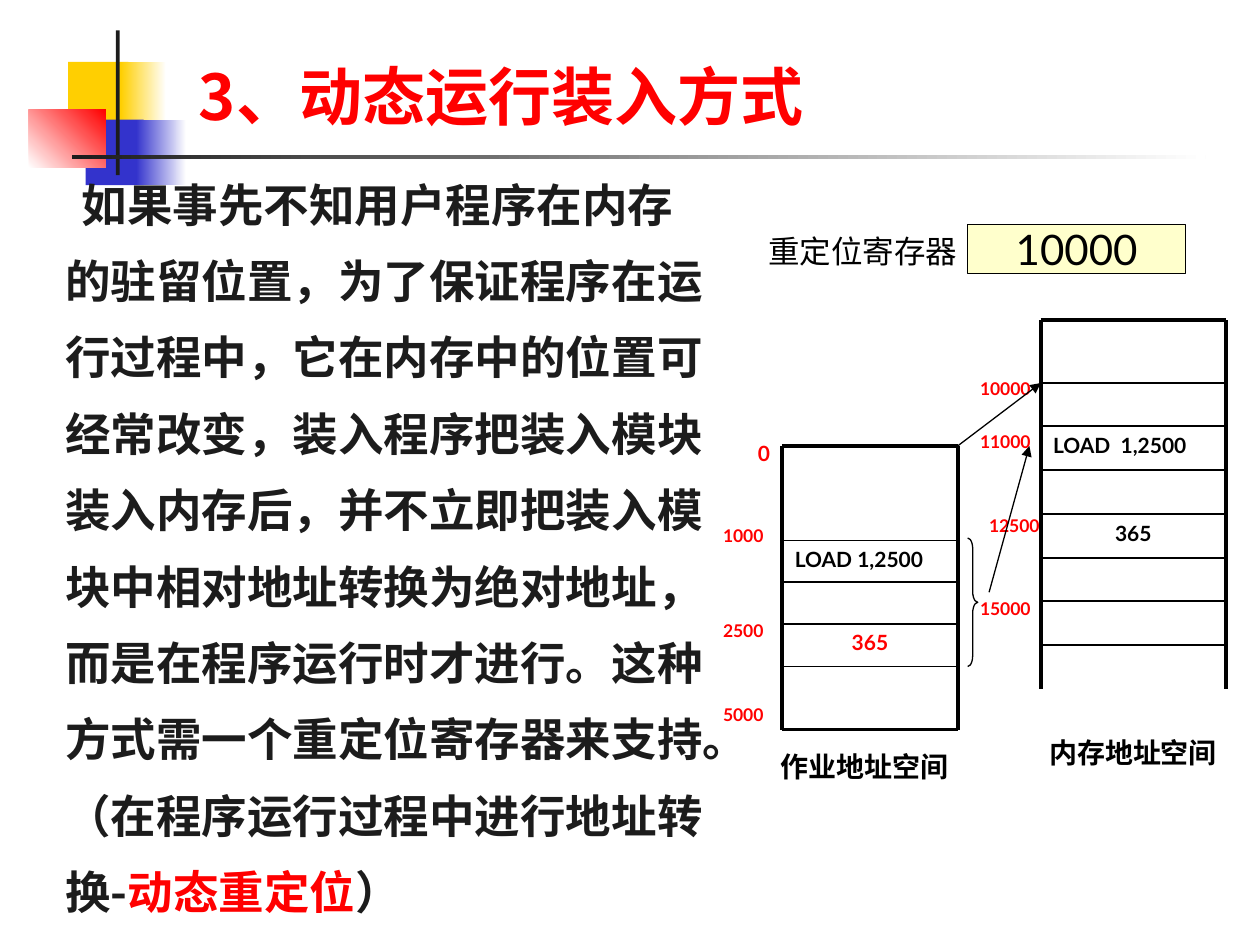
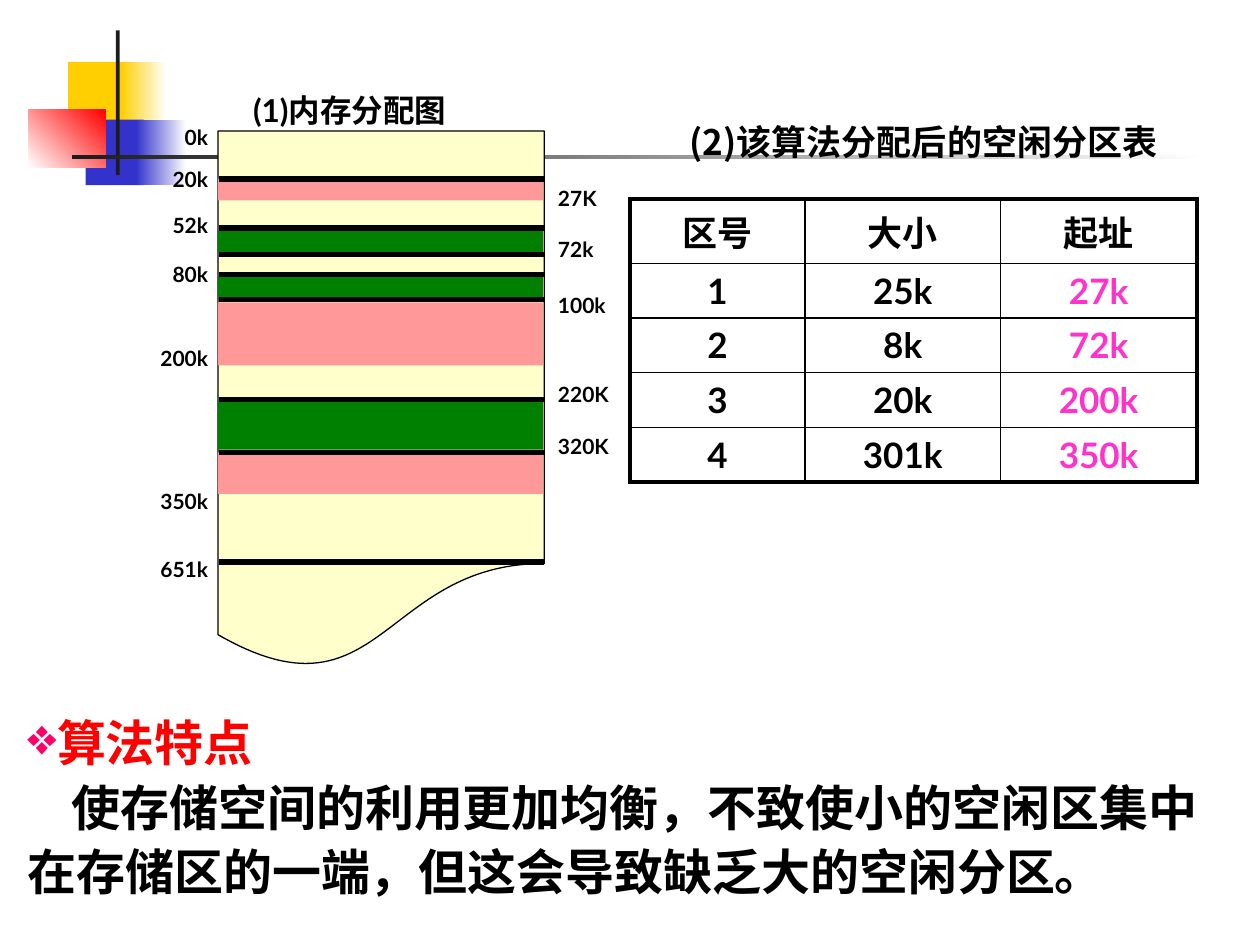
from dataclasses import dataclass

from lxml import etree
from pptx import Presentation
from pptx import util as u
from pptx.dml.color import RGBColor
from pptx.enum import shapes as s
from pptx.enum import text as t
from pptx.oxml import ns

PX = 9144  # EMU per px, 100 px to the inch
RECT = s.MSO_SHAPE.RECTANGLE


@dataclass(frozen=True)
class Theme:
    latin: str = "Lato"
    chinese: str = "Noto Sans CJK SC"
    black: str = "000000"
    ink: str = "1C1C1C"
    white: str = "FFFFFF"
    red: str = "FF0000"
    yellow: str = "FFCF01"
    blue: str = "3333CC"
    cream: str = "FFFFCC"
    free: str = "FF9999"
    allocated: str = "008000"
    address: str = "FF33CC"
    bullet: str = "FF0066"
    title: int = 36
    feature: int = 28
    body: int = 26
    register: int = 24
    table: int = 20
    heading: int = 18
    caption: int = 16
    label: int = 12
    small: int = 10
    thin: float = 0.75
    rule: float = 1
    frame: float = 2.25
    heavy: float = 3


T = Theme()
ALIGN = {"l": t.PP_ALIGN.LEFT, "c": t.PP_ALIGN.CENTER, "r": t.PP_ALIGN.RIGHT}


def emu(*lengths):
    return [u.Emu(round(length * PX)) for length in lengths]


def add_xml(parent, tag, **attributes):
    return etree.SubElement(parent, ns.qn(tag), **attributes)


def style_run(run, size, color=T.black, bold=True, latin=T.latin):
    run.font.size = u.Pt(size)
    run.font.bold = bold
    run.font.name = latin
    run.font.color.rgb = RGBColor.from_string(color)
    add_xml(run._r.get_or_add_rPr(), "a:ea", typeface=T.chinese)


def write(paragraph, content, size, color=T.black, align="l", **font):
    paragraph.text = content
    paragraph.alignment = ALIGN[align]
    style_run(paragraph.runs[0], size, color, **font)


def add_box(slide, x, y, w, h):
    frame = slide.shapes.add_textbox(*emu(x, y, w, h)).text_frame
    frame.word_wrap = True
    return frame


def add_label(slide, box, content, size, color=T.black, align="l", **font):
    frame = add_box(slide, *box)
    write(frame.paragraphs[0], content, size, color, align, **font)
    return frame


def indent(paragraph, margin, first):
    properties = paragraph._p.get_or_add_pPr()
    properties.set("marL", str(margin * PX))
    properties.set("indent", str(first * PX))


def add_block(slide, kind, box, fill=None, line=None, end=None, angle=0):
    """Preset shape; an end colour turns the fill into a gradient."""
    block = slide.shapes.add_shape(kind, *emu(*box))
    block.shadow.inherit = False
    if end:
        block.fill.gradient()
        block.fill.gradient_angle = angle
        for stop, color in zip(block.fill.gradient_stops, (fill, end)):
            stop.color.rgb = RGBColor.from_string(color)
    elif fill:
        block.fill.solid()
        block.fill.fore_color.rgb = RGBColor.from_string(fill)
    else:
        block.fill.background()
    if line:
        block.line.color.rgb = RGBColor.from_string(T.black)
        block.line.width = u.Pt(line)
    else:
        block.line.fill.background()
    return block


def add_line(slide, x1, y1, x2, y2, width, arrow=False):
    line = slide.shapes.add_connector(
        s.MSO_CONNECTOR.STRAIGHT, *emu(x1, y1, x2, y2))
    line.line.color.rgb = RGBColor.from_string(T.black)
    line.line.width = u.Pt(width)
    if arrow:
        add_xml(line.line._get_or_add_ln(), "a:tailEnd", type="triangle")
    add_xml(line._element.spPr, "a:effectLst")


def add_ornament(slide, x, y):
    """Overlapping squares and crossed rules behind every slide."""
    for dx, dy, w, h, fill, end, angle in (
        (31, 25, 48, 52, T.yellow, None, 0),
        (73, 25, 36, 52, T.yellow, T.white, 0),
        (45, 71, 46, 52, T.blue, None, 0),
        (85, 71, 40, 52, T.blue, T.white, 0),
        (0, 63, 61, 46, T.white, T.red, 45),
        (69, 0, 3, 115, T.ink, None, 0),
        (34, 99, 900, 3, T.ink, T.white, 0),
    ):
        add_block(slide, RECT, (x + dx, y + dy, w, h), fill, end=end, angle=angle)


def new_slide(deck):
    slide = deck.slides.add_slide(deck.slide_layouts[6])
    add_ornament(slide, 23, 24)
    return slide


def add_title(slide, box, content):
    frame = add_label(slide, box, content, T.title, T.red, latin=T.chinese)
    frame.vertical_anchor = t.MSO_ANCHOR.BOTTOM


def add_explanation(slide, box):
    paragraph = add_box(slide, *box).paragraphs[0]
    paragraph.line_spacing = 1.4
    indent(paragraph, 38, 13)
    for content, color in (
        ("如果事先不知用户程序在内存的驻留位置，为了保证程序在运行过程中，"
         "它在内存中的位置可经常改变，装入程序把装入模块装入内存后，"
         "并不立即把装入模块中相对地址转换为绝对地址，而是在程序运行时才进行。"
         "这种方式需一个重定位寄存器来支持。（在程序运行过程中进行地址转换-", T.ink),
        ("动态重定位", T.red),
        ("）", T.ink),
    ):
        run = paragraph.add_run()
        run.text = content
        style_run(run, T.body, color, latin=T.chinese)


def add_register(slide, x, y):
    add_label(slide, (x, y + 1, 170, 40), "重定位寄存器", T.heading,
              bold=False).word_wrap = False
    register = add_block(slide, RECT, (x + 168, y, 173, 39), T.cream, T.thin)
    register.text_frame.vertical_anchor = t.MSO_ANCHOR.MIDDLE
    write(register.text_frame.paragraphs[0], "10000", T.register,
          align="c", bold=False)


def add_address_space(slide, box, dividers, cells, closed):
    """Framed column of memory; dividers and cells are offsets from its top."""
    x, y, w, h = box
    for dy, content, color, align in cells:
        add_label(slide, (x, y + dy, w, 34), content, T.label, color, align)
    for dy in dividers:
        add_line(slide, x, y + dy, x + w, y + dy, T.rule)
    for dy in (0, h) if closed else (0,):
        add_line(slide, x, y + dy, x + w, y + dy, T.frame)
    for side in (x, x + w):
        add_line(slide, side, y, side, y + h, T.frame)


def add_relocation(slide, x, y):
    """Job space, memory space and the mapping between them."""
    add_address_space(
        slide, (x + 57, y + 100, 139, 225), (75, 108, 141, 175),
        ((141, "365", T.red, "c"), (75, "LOAD 1,2500", T.black, "l")), True)
    add_address_space(
        slide, (x + 262, y, 147, 293), (50, 84, 119, 154, 189, 223, 258),
        ((154, "365", T.black, "c"), (84, "LOAD  1,2500", T.black, "l")), False)

    for dy, address in ((300, "5000"), (233, "2500"), (158, "1000")):
        add_label(slide, (x, y + dy, 57, 54), address, T.small, T.red)
    add_label(slide, (x, y + 91, 57, 67), "0", T.label, T.red, "r")
    for dy, address, align in ((216, "15000", "l"), (150, "12500", "c"),
                               (83, "11000", "l"), (41, "10000", "l")):
        add_label(slide, (x + 204, y + dy, 74, 54), address, T.small, T.red, align)

    add_line(slide, x + 196, y + 100, x + 262, y + 50, T.thin, arrow=True)
    add_line(slide, x + 221, y + 216, x + 253, y + 100, T.thin, arrow=True)
    brace = add_block(slide, s.MSO_SHAPE.RIGHT_BRACE,
                      (x + 204, y + 173, 8, 102), line=T.thin)
    brace.adjustments[0] = 1.07
    add_label(slide, (x + 46, y + 336, 157, 37), "作业地址空间", T.caption)
    add_label(slide, (x + 259, y + 325, 164, 37), "内存地址空间", T.caption)


def add_scale(slide, x, y, w, marks, align):
    """Column of addresses, each centred on its offset from y."""
    line_height = 20
    first = marks[0][0]
    frame = add_box(slide, x, y + first - 15, w, marks[-1][0] - first + 30)
    previous = None
    for dy, address in marks:
        paragraph = frame.paragraphs[0] if previous is None else frame.add_paragraph()
        write(paragraph, address, T.label, align=align)
        if previous is not None:
            paragraph.space_before = u.Emu((dy - previous - line_height) * PX)
        previous = dy


def add_memory_map(slide, box):
    x, y, w, h = box
    add_label(slide, (x + 18, y - 37, 222, 40), "(1)内存分配图", T.heading)
    add_block(slide, s.MSO_SHAPE.FLOWCHART_DOCUMENT, box, T.cream, T.thin)
    for dy, height, fill in (
        (38, 17, T.free), (79, 17, T.allocated), (116, 17, T.allocated),
        (136, 50, T.free), (213, 40, T.allocated), (255, 33, T.free),
    ):
        add_block(slide, RECT, (x, y + dy, w - 1, height), fill)
    for dy in (38, 77, 98, 114, 134, 213, 255, 342):
        add_line(slide, x + 1, y + dy, x + w, y + dy, T.heavy)
    add_scale(slide, x - 106, y, 108, (
        (5, "0k"), (38, "20k"), (75, "52k"), (114, "80k"),
        (180, "200k"), (294, "350k"), (348, "651k")), "r")
    add_scale(slide, x + w + 1, y, 82, (
        (53, "27K"), (94, "72k"), (138, "100k"), (209, "220K"), (250, "320K")), "l")


def border(cell, side, width):
    line = add_xml(cell._tc.get_or_add_tcPr(), f"a:ln{side}",
                   w=str(u.Pt(width)))
    add_xml(add_xml(line, "a:solidFill"), "a:srgbClr", val=T.black)


def add_free_table(slide, x, y):
    rows = (("区号", "大小", "起址"), ("1", "25k", "27k"), ("2", "8k", "72k"),
            ("3", "20k", "200k"), ("4", "301k", "350k"))
    widths, heights = (139, 155, 156), (51, 43, 43, 43, 43)
    add_label(slide, (x - 17, y - 67, 500, 43), "(2)该算法分配后的空闲分区表",
              T.table, align="c", latin=T.chinese)
    table = slide.shapes.add_table(
        len(rows), len(widths), *emu(x, y, sum(widths), sum(heights))).table
    for column, width in zip(table.columns, emu(*widths)):
        column.width = width
    for row, height in zip(table.rows, emu(*heights)):
        row.height = height
    for r, row in enumerate(rows):
        for c, content in enumerate(row):
            cell = table.cell(r, c)
            color = T.address if r and c == 2 else T.black
            write(cell.text_frame.paragraphs[0], content, T.table, color, "c")
            outer = {"L": c == 0, "R": c == len(widths) - 1,
                     "T": r == 0, "B": r == len(rows) - 1}
            for side, is_outer in outer.items():
                border(cell, side, T.frame if is_outer else T.rule)
            cell.fill.background()


def add_feature(slide, box):
    frame = add_box(slide, *box)
    heading, detail = frame.paragraphs[0], frame.add_paragraph()
    write(heading, "算法特点", T.feature, T.red, latin=T.chinese)
    write(detail, "使存储空间的利用更加均衡，不致使小的空闲区集中在存储区的一端，"
                  "但这会导致缺乏大的空闲分区。", T.feature, latin=T.chinese)
    heading.line_spacing = detail.line_spacing = 1.1
    indent(heading, 0, 0)
    indent(detail, 0, 35)
    properties = heading._p.get_or_add_pPr()
    add_xml(add_xml(properties, "a:buClr"), "a:srgbClr", val=T.bullet)
    add_xml(properties, "a:buSzPct", val="105000")
    add_xml(properties, "a:buChar", char="❖")


def build_dynamic_loading(deck):
    slide = new_slide(deck)
    add_title(slide, (148, 28, 852, 83), "3、动态运行装入方式")
    add_explanation(slide, (4, 118, 575, 635))
    add_register(slide, 600, 178)
    add_relocation(slide, 564, 254)


def build_partition_allocation(deck):
    slide = new_slide(deck)
    add_free_table(slide, 500, 158)
    add_feature(slide, (12, 556, 973, 164))
    add_memory_map(slide, (173, 104, 259, 428))


def main():
    deck = Presentation()
    deck.slide_width, deck.slide_height = emu(1000, 750)
    build_dynamic_loading(deck)
    build_partition_allocation(deck)
    deck.save("out.pptx")


if __name__ == "__main__":
    main()
